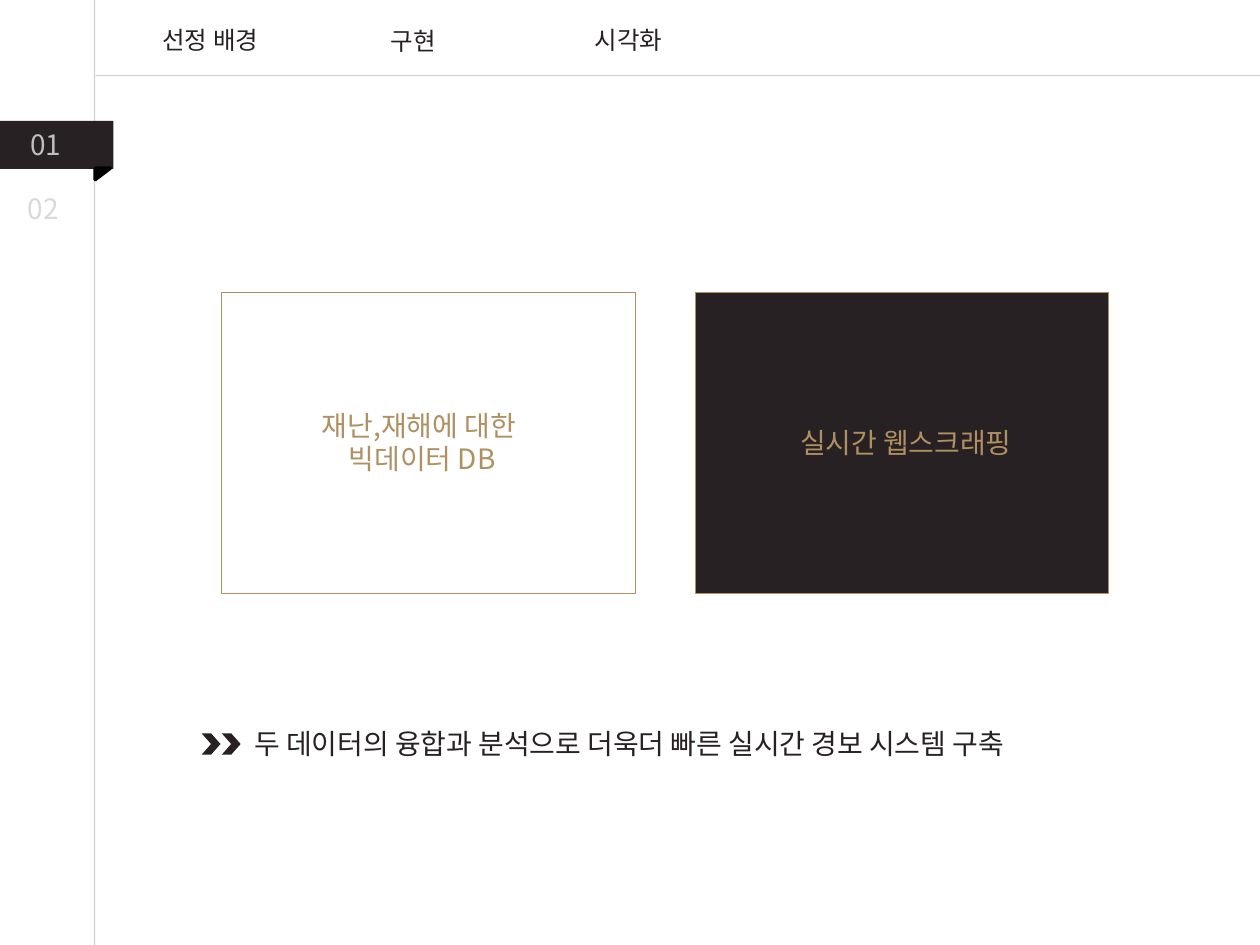
from dataclasses import dataclass

from lxml import etree
from pptx import Presentation
from pptx.dml.color import RGBColor
from pptx.enum.shapes import MSO_CONNECTOR, MSO_SHAPE
from pptx.enum.text import MSO_AUTO_SIZE, PP_ALIGN
from pptx.oxml.ns import qn
from pptx.util import Inches, Pt

RECT = MSO_SHAPE.RECTANGLE
CHEVRON = MSO_SHAPE.CHEVRON
FOLD = MSO_SHAPE.RIGHT_TRIANGLE
STRAIGHT = MSO_CONNECTOR.STRAIGHT
LEFT, CENTER = PP_ALIGN.LEFT, PP_ALIGN.CENTER
FIT = MSO_AUTO_SIZE.SHAPE_TO_FIT_TEXT

FONT = "Noto Sans CJK KR"
COLORS = {
    "ink": "272123",
    "gold": "AF9061",
    "black": "000000",
    "rule": "A6A6A6",
    "on": "BFBFBF",
    "off": "D9D9D9",
}


@dataclass
class Block:
    kind: int
    x: float
    y: float
    w: float
    h: float
    fill: str | None = None
    line: str | None = None
    weight: float = 0.5
    turn: float = 0


@dataclass
class Label:
    text: str
    x: float
    y: float
    w: float
    h: float
    color: str = "ink"
    size: int = 16
    align: int = CENTER


@dataclass
class Rule:
    x1: float
    y1: float
    x2: float
    y2: float


CARD_Y, CARD_W, CARD_H = 2.32, 3.28, 2.39

RULES = [Rule(0.75, 0, 0.75, 7.5), Rule(0.76, 0.6, 10, 0.6)]
BLOCKS = [
    Block(RECT, 0, 0.96, 0.9, 0.38, "ink"),
    Block(FOLD, 0.77, 1.32, 0.09, 0.12, "black", "black", 2, 90),
    Block(RECT, 1.76, CARD_Y, CARD_W, CARD_H, None, "gold"),
    Block(RECT, 5.52, CARD_Y, CARD_W, CARD_H, "ink", "gold"),
    *(Block(CHEVRON, x, 5.82, 0.15, 0.17, "ink") for x in (1.76, 1.6)),
]
LABELS = [
    Label("02", 0.12, 1.47, 0.61, 0.37, "off", align=LEFT),
    Label("01", 0.14, 0.96, 0.59, 0.37, "on", align=LEFT),
    Label("재난,재해에 대한 \n빅데이터 DB", 2.01, 3.19, 2.68, 0.64, "gold"),
    Label("실시간 웹스크래핑", 5.84, 3.33, 2.7, 0.37, "gold"),
    Label("두 데이터의 융합과 분석으로 더욱더 빠른 실시간 경보 시스템 구축",
          1.92, 5.72, 6.89, 0.37, align=LEFT),
    Label("선정 배경", 1.14, 0.15, 1.06, 0.34, size=14),
    Label("구현", 2.75, 0.16, 1.06, 0.34, size=14),
    Label("시각화", 4.35, 0.15, 1.28, 0.34, size=14),
]


def tint(name: str) -> RGBColor:
    return RGBColor.from_string(COLORS[name])


def paint(fill, name: str | None) -> None:
    """Fill with a named colour, or leave empty when there is none."""
    if name is None:
        fill.background()
    else:
        fill.solid()
        fill.fore_color.rgb = tint(name)


def draw_rule(slide, rule: Rule) -> None:
    ends = map(Inches, (rule.x1, rule.y1, rule.x2, rule.y2))
    line = slide.shapes.add_connector(STRAIGHT, *ends)
    line.line.width = Pt(0.75)
    line.line.color.rgb = tint("rule")
    props = line._element.spPr
    color = props.find(".//" + qn("a:srgbClr"))
    etree.SubElement(color, qn("a:alpha")).set("val", "50000")
    etree.SubElement(props, qn("a:effectLst"))


def draw_block(slide, block: Block) -> None:
    area = map(Inches, (block.x, block.y, block.w, block.h))
    shape = slide.shapes.add_shape(block.kind, *area)
    shape.shadow.inherit = False
    shape.rotation = block.turn
    paint(shape.fill, block.fill)
    paint(shape.line.fill, block.line)
    if block.line:
        shape.line.width = Pt(block.weight)


def draw_label(slide, label: Label) -> None:
    area = map(Inches, (label.x, label.y, label.w, label.h))
    frame = slide.shapes.add_textbox(*area).text_frame
    frame.word_wrap = True
    frame.auto_size = FIT
    frame.text = label.text
    style = {"name": FONT, "size": Pt(label.size)}
    for para in frame.paragraphs:
        para.alignment = label.align
        for run in para.runs:
            for key, value in style.items():
                setattr(run.font, key, value)
            run.font.color.rgb = tint(label.color)
            # Hangul takes its typeface from the East Asian slot
            props = run._r.get_or_add_rPr()
            etree.SubElement(props, qn("a:ea")).set("typeface", FONT)


def main() -> None:
    deck = Presentation()
    deck.slide_width, deck.slide_height = Inches(10), Inches(7.5)
    slide = deck.slides.add_slide(deck.slide_layouts[6])
    for rule in RULES:
        draw_rule(slide, rule)
    for block in BLOCKS:
        draw_block(slide, block)
    for label in LABELS:
        draw_label(slide, label)
    deck.save("out.pptx")


if __name__ == "__main__":
    main()
